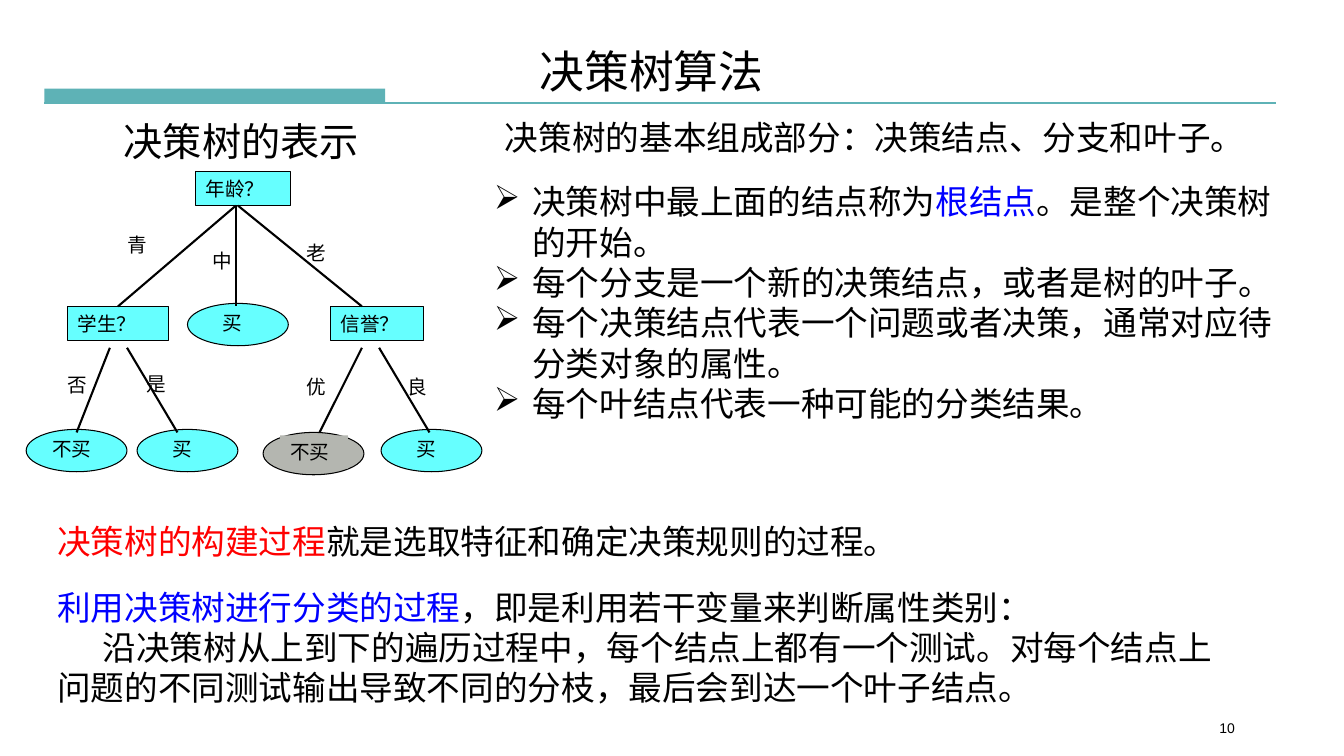
import dataclasses

import pptx
import pptx.dml.color
import pptx.enum.shapes
import pptx.enum.text
import pptx.oxml.ns
import pptx.util

PX = 9144  # 100 px to the inch
SHAPE = pptx.enum.shapes.MSO_SHAPE
ALIGN = pptx.enum.text.PP_ALIGN
ANCHOR = pptx.enum.text.MSO_ANCHOR
FIT = pptx.enum.text.MSO_AUTO_SIZE
qn = pptx.oxml.ns.qn


@dataclasses.dataclass(frozen=True)
class Theme:
    font: str = "Arial"
    ink: str = "000000"
    teal: str = "5EB2B6"
    node: str = "66FFFF"
    grey: str = "B4B6B0"
    blue: str = "0000FF"
    red: str = "FF0000"
    title: int = 32
    heading: int = 28
    body: int = 24
    label: int = 14
    number: int = 10
    outline: float = 0.75
    branch: float = 1.5


T = Theme()


def px(*values):
    return [v * PX for v in values]


def rgb(color):
    return pptx.dml.color.RGBColor.from_string(color)


def set_attrs(target, values):
    for name, value in values.items():
        setattr(target, name, value)


def paint(sp, fill, line=None):
    sp.fill.solid()
    sp.fill.fore_color.rgb = rgb(fill)
    if line:
        sp.line.color.rgb = rgb(line)
        sp.line.width = pptx.util.Pt(T.outline)
    else:
        sp.line.fill.background()


def indent(p, left, first, bullet=None):
    pPr = p._p.get_or_add_pPr()
    pPr.set("marL", str(left * PX))
    pPr.set("indent", str(first * PX))
    if bullet:
        pPr.append(pPr.makeelement(qn("a:buChar"), {"char": bullet}))


def write(sp, paragraphs, size, wrap=True, align=ALIGN.LEFT,
          anchor=ANCHOR.TOP, fit=FIT.SHAPE_TO_FIT_TEXT):
    """Fill a shape; each paragraph is a list of (text, colour) runs."""
    tf = sp.text_frame
    set_attrs(tf, {"word_wrap": wrap, "auto_size": fit, "vertical_anchor": anchor})
    for i, runs in enumerate(paragraphs):
        p = tf.paragraphs[0] if i == 0 else tf.add_paragraph()
        p.alignment = align
        for text, color in runs:
            r = p.add_run()
            r.text = text
            set_attrs(r.font, {"name": T.font, "size": pptx.util.Pt(size)})
            r.font.color.rgb = rgb(color)
    return tf


def add_text(shapes, box, paragraphs, size, **layout):
    sp = shapes.add_textbox(*px(*box))
    write(sp, paragraphs, size, **layout)
    return sp


def add_shape(shapes, kind, box, fill, line=None):
    sp = shapes.add_shape(kind, *px(*box))
    sp.shadow.inherit = False
    paint(sp, fill, line)
    return sp


def add_line(shapes, ends, color):
    s = shapes.add_connector(pptx.enum.shapes.MSO_CONNECTOR.STRAIGHT, *px(*ends))
    s.line.color.rgb = rgb(color)
    s.line.width = pptx.util.Pt(T.branch)
    spPr = s._element.spPr
    spPr.append(spPr.makeelement(qn("a:effectLst"), {}))


def add_decision(shapes, text, x, y, width):
    sp = add_shape(shapes, SHAPE.RECTANGLE, (x, y, width, 34), T.node, T.ink)
    write(sp, [[(text, T.ink)]], T.label, anchor=ANCHOR.MIDDLE)


def add_leaf(shapes, text, x, y, dx, fill):
    """Ellipse grouped with a label set dx px in from its left edge."""
    group = shapes.add_group_shape().shapes
    add_shape(group, SHAPE.OVAL, (x, y, 100, 42), fill, T.ink)
    label = add_text(group, (x + dx, y + 3, 67, 33), [[(text, T.ink)]], T.label)
    if fill == T.grey:
        paint(label, fill)


def add_header(s):
    add_shape(s.shapes, SHAPE.RECTANGLE, (44, 88, 338, 14), T.teal)
    add_line(s.shapes, (44, 102, 1266, 102), T.teal)
    title = s.shapes.title
    set_attrs(title, dict(zip(("left", "top", "width", "height"),
                              px(525, 38, 245, 64))))
    write(title, [[("决策树算法", T.ink)]], T.title, wrap=False)


def add_tree(shapes):
    for node in (("年龄？", 194, 170, 94), ("学生？", 67, 304, 100),
                 ("信誉？", 328, 304, 92)):
        add_decision(shapes, *node)
    for leaf in (("买", 186, 301, 25, T.node), ("不买", 26, 426, 16, T.node),
                 ("买", 136, 426, 25, T.node), ("不买", 261, 429, 17, T.grey),
                 ("买", 378, 426, 25, T.node)):
        add_leaf(shapes, *leaf)
    for x1, x2 in ((234, 117), (234, 234), (236, 359)):
        add_line(shapes, (x1, 204, x2, 304), T.ink)
    for x1, x2 in ((109, 76), (126, 176), (359, 317), (376, 426)):
        add_line(shapes, (x1, 345, x2, 429), T.ink)
    for text, x, y in (("青", 117, 226), ("中", 201, 242), ("老", 294, 234),
                       ("否", 57, 365), ("是", 136, 364), ("优", 294, 367),
                       ("良", 394, 367)):
        add_text(shapes, (x, y, 40, 33), [[(text, T.ink)]], T.label, wrap=False)


def add_notes_on_tree(shapes):
    add_text(shapes, (113, 111, 256, 57), [[("决策树的表示", T.ink)]],
             T.heading, wrap=False)
    add_text(shapes, (491, 111, 761, 51),
             [[("决策树的基本组成部分：决策结点、分支和叶子。", T.ink)]],
             T.body, wrap=False)
    parts = add_text(shapes, (480, 175, 819, 252), [
        [("决策树中最上面的结点称为", T.ink), ("根结点", T.blue),
         ("。是整个决策树的开始。", T.ink)],
        [("每个分支是一个新的决策结点，或者是树的叶子。", T.ink)],
        [("每个决策结点代表一个问题或者决策，通常对应待分类对象的属性。", T.ink)],
        [("每个叶结点代表一种可能的分类结果。", T.ink)],
    ], T.body)
    for p in parts.text_frame.paragraphs:
        indent(p, 38, -38, "➢")


def add_process(shapes):
    add_text(shapes, (47, 512, 862, 50),
             [[("决策树的构建过程", T.red),
               ("就是选取特征和确定决策规则的过程。", T.ink)]],
             T.body, wrap=False)
    usage = add_text(shapes, (47, 577, 1187, 131), [
        [("利用决策树进行分类的过程", T.blue),
         ("，即是利用若干变量来判断属性类别：", T.ink)],
        [("沿决策树从上到下的遍历过程中，每个结点上都有一个测试。"
          "对每个结点上问题的不同测试输出导致不同的分枝，"
          "最后会到达一个叶子结点。", T.ink)],
    ], T.body)
    indent(usage.text_frame.paragraphs[1], 0, 45)


def main():
    prs = pptx.Presentation()
    prs.slide_width, prs.slide_height = px(1333, 750)
    s = prs.slides.add_slide(prs.slide_layouts[5])
    add_header(s)
    add_tree(s.shapes)
    add_notes_on_tree(s.shapes)
    add_process(s.shapes)
    add_text(s.shapes, (1156, 708, 122, 29), [[("10", T.ink)]], T.number,
             align=ALIGN.CENTER, anchor=ANCHOR.MIDDLE, fit=FIT.NONE)
    prs.save("out.pptx")


if __name__ == "__main__":
    main()
